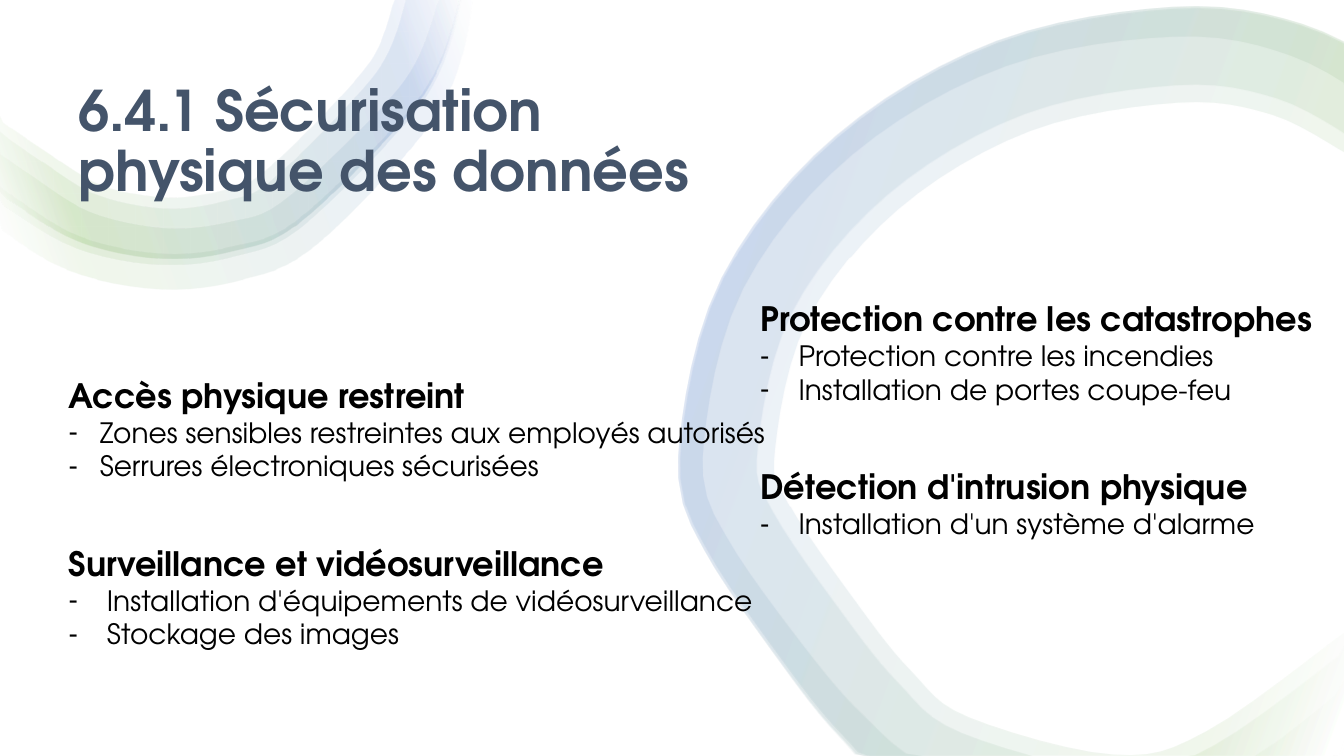
from math import hypot

from lxml import etree
from pptx import Presentation
from pptx.dml.color import RGBColor
from pptx.enum.text import MSO_ANCHOR, MSO_AUTO_SIZE, PP_ALIGN
from pptx.oxml import parse_xml
from pptx.oxml.ns import nsdecls, qn
from pptx.util import Inches, Pt

FONT = "TeX Gyre Adventor"
WIDTH, HEIGHT = 13.33, 7.5
STOPS = [(2, "FFFFFF"), (16, "70AD47"), (85, "4472C4"), (100, "FFFFFF")]


def offset_curve(points, offsets, steps=6):
    """Smooth curve through the points, moved sideways by the offsets at its
    start, middle and end, and kept inside the slide."""
    padded = [points[0], *points, points[-1]]
    curve = [points[0]]
    for a, b, c, d in zip(padded, padded[1:], padded[2:], padded[3:]):
        for i in range(1, steps + 1):
            t = i / steps
            curve.append(tuple(
                (2 * q + (r - p) * t + (2 * p - 5 * q + 4 * r - s) * t ** 2
                 + (3 * q - p - 3 * r + s) * t ** 3) / 2
                for p, q, r, s in zip(a, b, c, d)))
    start, middle, end = offsets
    last = len(curve) - 1
    moved = []
    for i, (x, y) in enumerate(curve):
        (x0, y0), (x1, y1) = curve[max(i - 1, 0)], curve[min(i + 1, last)]
        dx, dy = x1 - x0, y1 - y0
        u = i / last
        shift = (start * (1 - u) * (1 - 2 * u) + middle * 4 * u * (1 - u)
                 + end * u * (2 * u - 1)) / hypot(dx, dy)
        moved.append((min(max(x - dy * shift, 0), WIDTH),
                      min(max(y + dx * shift, 0), HEIGHT)))
    return moved


def style(font, size, color, bold):
    font.name, font.size, font.bold = FONT, Pt(size), bold
    font.color.rgb = RGBColor.from_string(color)


prs = Presentation()
prs.slide_width, prs.slide_height = Inches(WIDTH), Inches(HEIGHT)
slide = prs.slides.add_slide(prs.slide_layouts[3])

small_curve = [(-0.6, 1.5), (0.08, 1.97), (0.78, 2.39), (1.61, 2.56), (2.33, 2.48),
               (2.94, 2.23), (3.88, 1.33), (4.32, 0.74), (4.56, 0), (4.6, -0.5)]
large_curve = [(13.33, 1.52), (12.6, 1.14), (11.67, 1.02), (10.21, 1.3), (8.91, 2.07),
               (8.01, 3.18), (7.69, 4.45), (7.82, 4.99), (8.51, 6), (9.04, 6.66),
               (9.6, 7.11), (11.03, 7.48), (11.95, 7.25), (13.33, 6.26)]

# Each group: curve, gradient angle, and the two edge offsets of every ribbon
groups = [
    (small_curve, 340, [
        ((-0.05, -0.04, 0), (0.25, 0.29, 0.04)),
        ((-0.33, -0.28, -0.18), (0.08, 0.05, 0)),
        ((-0.5, -0.5, -0.54), (0, 0, 0)),
        ((-0.6, -0.61, -0.65), (0, 0, 0))]),
    (large_curve, 200, [
        ((0, 0, 0), (0.93, 0.93, 0.93)),
        ((0.56, 0.7, 0.42), (0.95, 0.95, 1)),
        ((0.16, 0.17, 0.15), (0.94, 0.95, 0.94))]),
]
stops = "".join(
    f'<a:gs pos="{pos * 1000}"><a:srgbClr val="{color}"><a:alpha val="10000"/>'
    "</a:srgbClr></a:gs>" for pos, color in STOPS)
for curve, angle, ribbons in groups:
    for inner, outer in ribbons:
        edges = offset_curve(curve, inner) + offset_curve(curve, outer)[::-1]
        outline = [(Inches(x), Inches(y)) for x, y in edges]
        builder = slide.shapes.build_freeform(*outline[0])
        builder.add_line_segments(outline[1:], close=True)
        sp = builder.convert_to_shape()
        sp.shadow.inherit = False
        sp.line.fill.background()
        sp.fill.background()
        gradient = parse_xml(
            f'<a:gradFill {nsdecls("a")} rotWithShape="1"><a:gsLst>{stops}</a:gsLst>'
            f'<a:lin ang="{angle * 60000}" scaled="0"/></a:gradFill>')
        sp_pr = sp._element.spPr
        sp_pr.replace(sp_pr.find(qn("a:noFill")), gradient)

# Placeholders come in front of the ribbons
title, left_body, right_body = list(slide.placeholders)
for sp in (title, left_body, right_body):
    slide.shapes._spTree.append(sp._element)

title.left, title.top = Inches(0.68), Inches(-0.34)
title.width, title.height = Inches(6.3), Inches(3.53)
tf = title.text_frame
tf.text = "6.4.1 Sécurisation physique des données"
tf.word_wrap, tf.auto_size = True, MSO_AUTO_SIZE.NONE
tf.vertical_anchor = MSO_ANCHOR.MIDDLE
p = tf.paragraphs[0]
p.alignment, p.line_spacing = PP_ALIGN.LEFT, 0.9
style(p.runs[0].font, 40, "44546A", True)

# Each body: box, then sections of heading, bullet indent and bullets
bodies = [
    (left_body, (0.58, 3.67, 7.76, 3.8), [
        ("Accès physique restreint", 0.31,
         ["Zones sensibles restreintes aux employés autorisés",
          "Serrures électroniques sécurisées"]),
        ("Surveillance et vidéosurveillance", 0.38,
         ["Installation d'équipements de vidéosurveillance", "Stockage des images"])]),
    (right_body, (7.44, 2.91, 5.89, 2.7), [
        ("Protection contre les catastrophes", 0.38,
         ["Protection contre les incendies", "Installation de portes coupe-feu"]),
        ("Détection d'intrusion physique", 0.38, ["Installation d'un système d'alarme"])]),
]
for sp, box, sections in bodies:
    sp.left, sp.top, sp.width, sp.height = map(Inches, box)
    tf = sp.text_frame
    tf.word_wrap, tf.auto_size = True, MSO_AUTO_SIZE.NONE
    tf.vertical_anchor = MSO_ANCHOR.TOP
    lines = [(text, indent, text == heading) for heading, indent, bullets in sections
             for text in [heading, *bullets]]
    for i, (text, indent, is_heading) in enumerate(lines):
        p = tf.paragraphs[0] if i == 0 else tf.add_paragraph()
        p.text = text
        pPr = p._p.get_or_add_pPr()
        margin = 0 if is_heading else Inches(indent)
        pPr.set("marL", str(margin))
        pPr.set("indent", str(-margin))
        if is_heading:
            etree.SubElement(pPr, qn("a:buNone"))
        else:
            etree.SubElement(pPr, qn("a:buChar"), char="-")
        p.alignment, p.line_spacing = PP_ALIGN.LEFT, 1.0
        p.space_before = Pt(43.2 if is_heading and i else 0)
        style(p.runs[0].font, 24 if is_heading else 20, "000000", is_heading)

prs.save("out.pptx")
